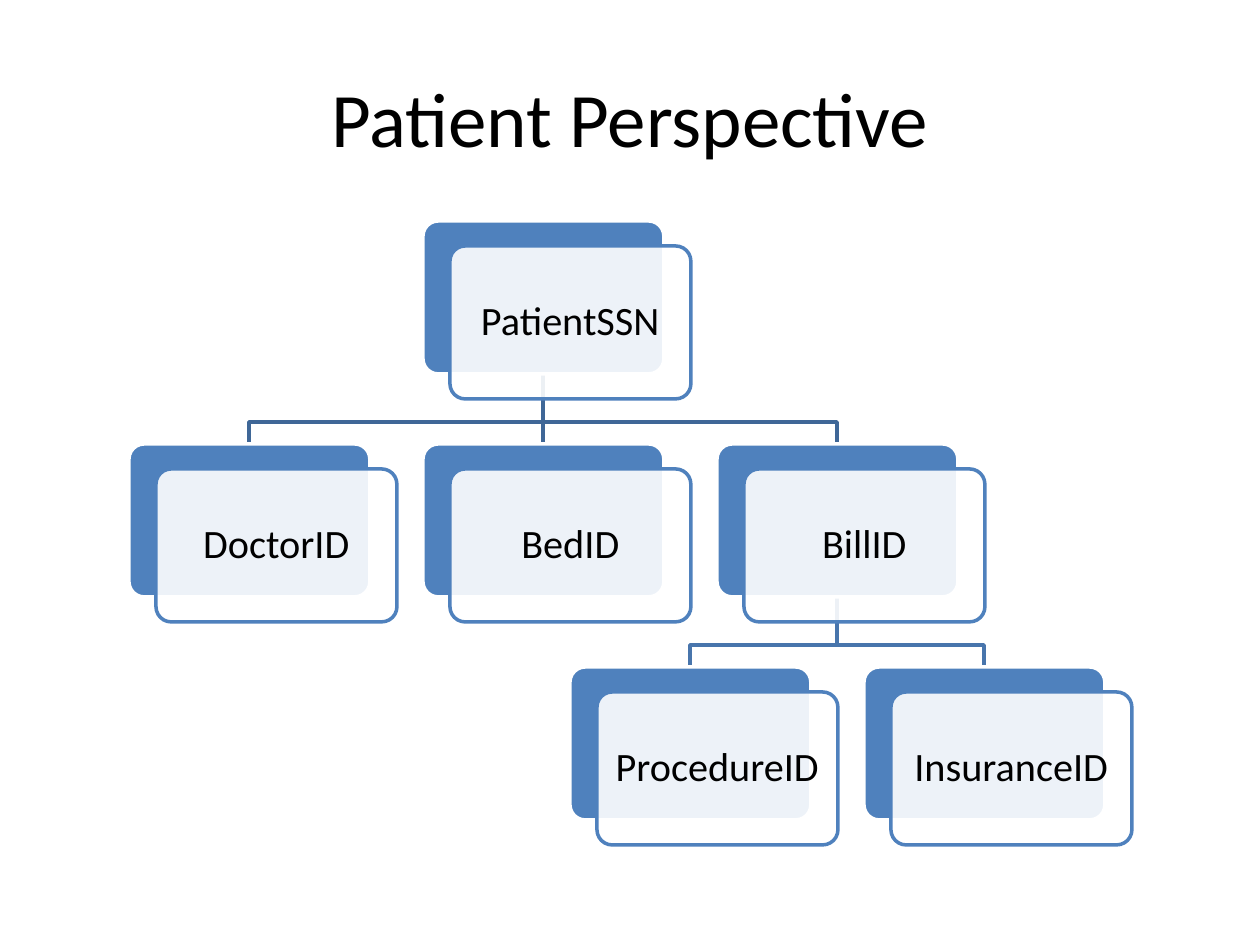
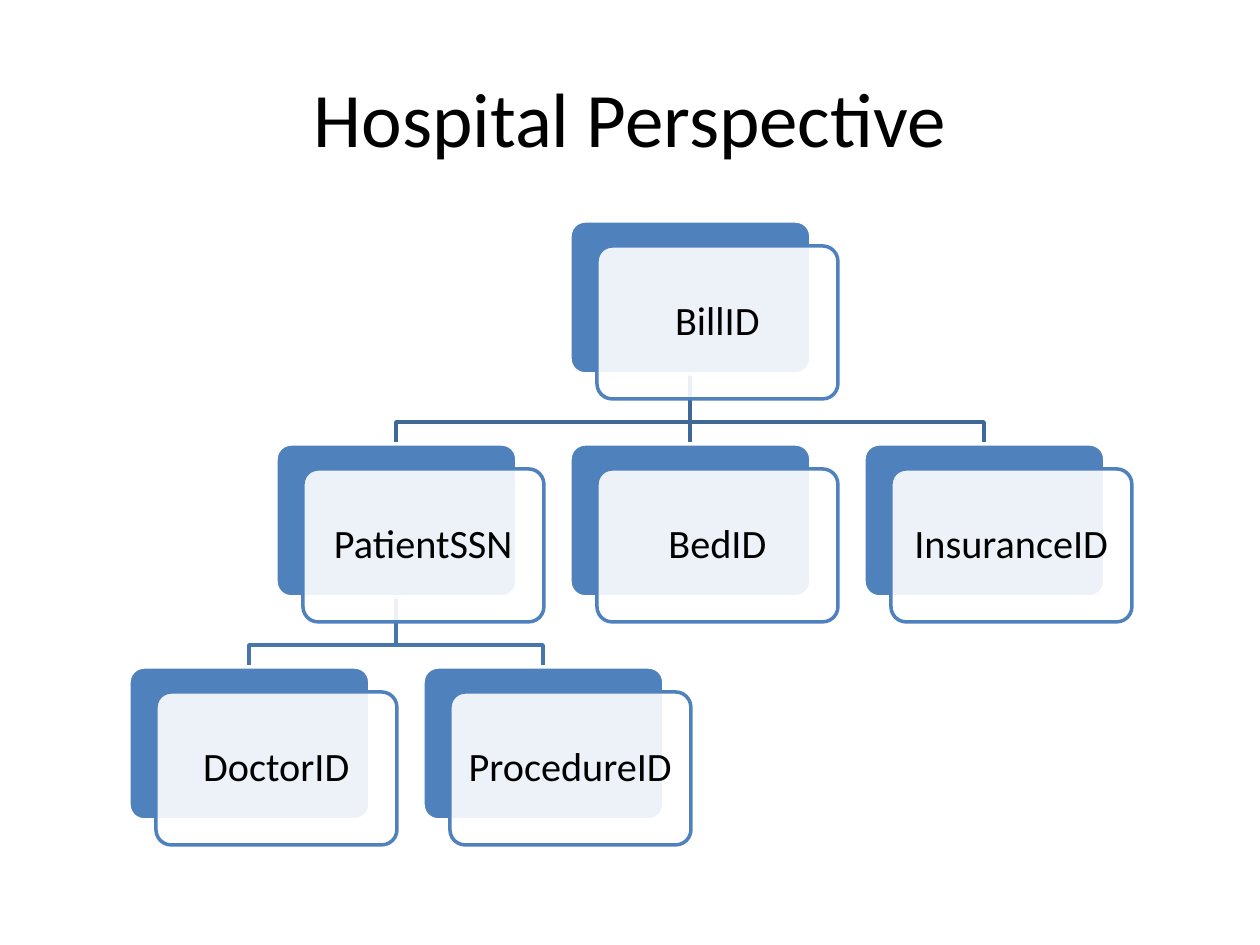
"""Builds two slides of record hierarchies, seen by the patient and by the hospital."""
from lxml.etree import SubElement
from pptx import Presentation
from pptx.dml.color import RGBColor
from pptx.enum.shapes import MSO_CONNECTOR, MSO_SHAPE
from pptx.enum.text import MSO_ANCHOR, PP_ALIGN
from pptx.oxml.ns import qn
from pptx.util import Emu, Pt

PIXEL = 914400 / 126
BLUE, WHITE, BLACK = "4F81BD", "FFFFFF", "000000"
LINK_COLOURS = {1: "3F6797", 2: "4875AC"}
LEFT, TOP, HALF_COLUMN, ROW = 129, 221, 147, 223
CARD_WIDTH, CARD_HEIGHT = 241, 153
SHIFT_X, SHIFT_Y, BEND, INSET = 27, 25, 48, 13

CHARTS = {
    "Patient Perspective": {
        "PatientSSN": (2, 0, None),
        "DoctorID": (0, 1, "PatientSSN"),
        "BedID": (2, 1, "PatientSSN"),
        "BillID": (4, 1, "PatientSSN"),
        "ProcedureID": (3, 2, "BillID"),
        "InsuranceID": (5, 2, "BillID"),
    },
    "Hospital Perspective": {
        "BillID": (3, 0, None),
        "PatientSSN": (1, 1, "BillID"),
        "BedID": (3, 1, "BillID"),
        "InsuranceID": (5, 1, "BillID"),
        "DoctorID": (0, 2, "PatientSSN"),
        "ProcedureID": (2, 2, "PatientSSN"),
    },
}
TITLE_FORMAT = {"name": "Calibri", "size": Pt(44)}
LABEL_FORMAT = {"name": "Calibri", "size": Pt(23)}
FRAME_FORMAT = {"word_wrap": True, "vertical_anchor": MSO_ANCHOR.MIDDLE}
for side in ("left", "right", "top", "bottom"):
    FRAME_FORMAT[f"margin_{side}"] = Emu(round(INSET * PIXEL))


def px(*lengths):
    return [Emu(round(length * PIXEL)) for length in lengths]


def paint(target, colour):
    if hasattr(target, "solid"):
        target.solid()
        target = target.fore_color
    target.rgb = RGBColor.from_string(colour)


deck = Presentation()
deck.slide_width, deck.slide_height = px(1260, 945)

for heading, nodes in CHARTS.items():
    page = deck.slides.add_slide(deck.slide_layouts[5])
    title = page.shapes.title
    title.left, title.top, title.width, title.height = px(63, 38, 1134, 157)
    title.text_frame.text = heading
    title.text_frame.vertical_anchor = MSO_ANCHOR.MIDDLE
    para = title.text_frame.paragraphs[0]
    para.alignment = PP_ALIGN.CENTER
    span = para.runs[0]
    for name, value in TITLE_FORMAT.items():
        setattr(span.font, name, value)
    paint(span.font.color, BLACK)

    for column, level, parent in nodes.values():
        if parent is None:
            continue
        parent_column, parent_level, _ = nodes[parent]
        start_x = LEFT + parent_column * HALF_COLUMN + CARD_WIDTH // 2
        start_y = TOP + parent_level * ROW + CARD_HEIGHT
        end_x = LEFT + column * HALF_COLUMN + CARD_WIDTH // 2
        end_y = TOP + level * ROW
        if start_x == end_x:
            link = page.shapes.add_connector(
                MSO_CONNECTOR.STRAIGHT, *px(start_x, start_y, end_x, end_y))
            SubElement(link._element.spPr, qn("a:effectLst"))
        else:
            outline = page.shapes.build_freeform(start_x, start_y, scale=PIXEL)
            bend_y = start_y + BEND
            outline.add_line_segments(
                [(start_x, bend_y), (end_x, bend_y), (end_x, end_y)], close=False)
            link = outline.convert_to_shape()
            link.fill.background()
            link.shadow.inherit = False
        paint(link.line.color, LINK_COLOURS[level])
        link.line.width = Pt(2)

    for label, (column, level, parent) in nodes.items():
        left, top = LEFT + column * HALF_COLUMN, TOP + level * ROW
        for shift_x, shift_y, fill, line in (
                (0, 0, BLUE, WHITE), (SHIFT_X, SHIFT_Y, WHITE, BLUE)):
            card = page.shapes.add_shape(
                MSO_SHAPE.ROUNDED_RECTANGLE,
                *px(left + shift_x, top + shift_y, CARD_WIDTH, CARD_HEIGHT))
            card.adjustments[0] = 0.1
            card.shadow.inherit = False
            paint(card.fill, fill)
            paint(card.line.color, line)
            card.line.width = Pt(2)
        shade = card._element.spPr.find(qn("a:solidFill")).find(qn("a:srgbClr"))
        SubElement(shade, qn("a:alpha"), val="90000")
        frame = card.text_frame
        for name, value in FRAME_FORMAT.items():
            setattr(frame, name, value)
        para = frame.paragraphs[0]
        para.alignment = PP_ALIGN.CENTER
        para.line_spacing = 0.9
        span = para.add_run()
        span.text = label
        for name, value in LABEL_FORMAT.items():
            setattr(span.font, name, value)
        paint(span.font.color, BLACK)

deck.save("out.pptx")
